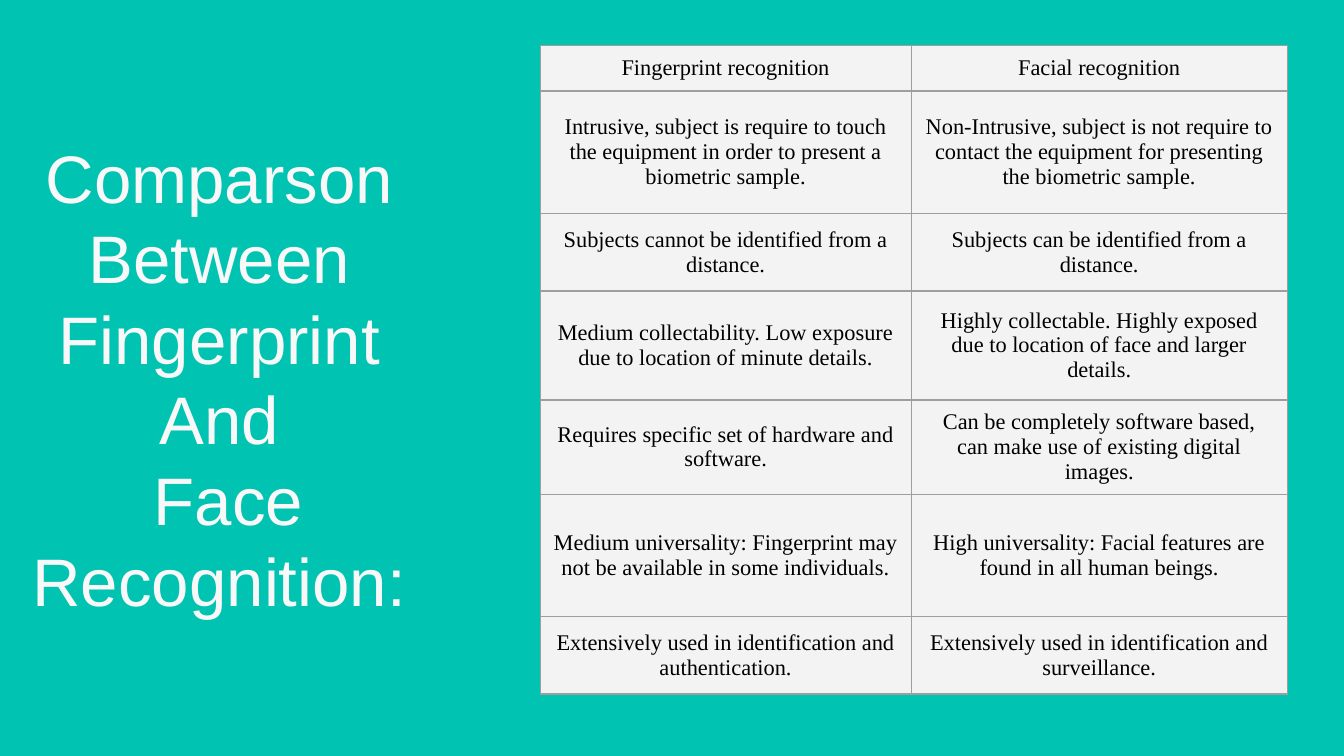
from pptx import Presentation
from pptx.dml.color import RGBColor as RGB
from pptx.enum.text import MSO_ANCHOR as Anchor, PP_ALIGN as Align
from pptx.oxml import parse_xml
from pptx.oxml.ns import nsdecls
from pptx.util import Cm, Pt

COLORS = {"back": "00C3B1", "title": "F8F8F8", "cell": "F3F3F3",
          "text": "000000", "line": "9E9E9E"}
TITLE = ["Comparson ", "Between ", "Fingerprint ", "And ", "Face Recognition: "]
ROWS = [
    ("Fingerprint recognition", "Facial recognition"),
    ("Intrusive, subject is require to touch the equipment in order to present a biometric sample.",
     "Non-Intrusive, subject is not require to contact the equipment for presenting the biometric sample."),
    ("Subjects cannot be identified from a distance.",
     "Subjects can be identified from a distance."),
    ("Medium collectability. Low exposure due to location of minute details.",
     "Highly collectable. Highly exposed due to location of face and larger details."),
    ("Requires specific set of hardware and software.",
     "Can be completely software based, can make use of existing digital images."),
    ("Medium universality: Fingerprint may not be available in some individuals.",
     "High universality: Facial features are found in all human beings."),
    ("Extensively used in identification and authentication.",
     "Extensively used in identification and surveillance."),
]
WIDTHS = [7.01, 7.11]
HEIGHTS = [0.86, 2.31, 1.47, 2.06, 1.78, 2.31, 1.47]


class Deck:
    def __init__(self):
        self.prs = Presentation()
        self.prs.slide_width, self.prs.slide_height = Cm(25.4), Cm(14.29)
        self.slide = self.prs.slides.add_slide(self.prs.slide_layouts[5])
        fill = self.slide.background.fill
        fill.solid()
        fill.fore_color.rgb = RGB.from_string(COLORS["back"])

    def style(self, para, face, size, color):
        para.alignment = Align.CENTER
        for run in para.runs:
            run.font.name = face
            run.font.size = Pt(size)
            run.font.color.rgb = RGB.from_string(COLORS[color])

    def title(self, lines, left, top, width, height):
        box = self.slide.shapes.title
        box.left, box.top = Cm(left), Cm(top)
        box.width, box.height = Cm(width), Cm(height)
        frame = box.text_frame
        frame.text = "\n".join(lines)
        frame.word_wrap = True
        frame.vertical_anchor = Anchor.MIDDLE
        for para in frame.paragraphs:
            para.line_spacing = Pt(43.2)
            para.space_before = Pt(0)
            self.style(para, "Arial", 36, "title")

    def border(self, cell):
        props = cell._tc.get_or_add_tcPr()
        for side in "LRTB":
            props.append(parse_xml(
                f'<a:ln{side} {nsdecls("a")} w="{Pt(0.75)}"><a:solidFill>'
                f'<a:srgbClr val="{COLORS["line"]}"/></a:solidFill></a:ln{side}>'))

    def table(self, rows, left, top, widths, heights):
        grid = self.slide.shapes.add_table(
            len(rows), len(widths), Cm(left), Cm(top),
            Cm(sum(widths)), Cm(sum(heights))).table
        grid.first_row = grid.horz_banding = False
        for col, width in zip(grid.columns, widths):
            col.width = Cm(width)
        for row, height, texts in zip(grid.rows, heights, rows):
            row.height = Cm(height)
            for cell, text in zip(row.cells, texts):
                self.cell(cell, text)

    def cell(self, cell, text):
        cell.text_frame.text = text
        cell.vertical_anchor = Anchor.MIDDLE
        self.style(cell.text_frame.paragraphs[0], "Times New Roman", 12, "text")
        self.border(cell)
        cell.fill.solid()
        cell.fill.fore_color.rgb = RGB.from_string(COLORS["cell"])


def main():
    deck = Deck()
    deck.table(ROWS, 10.21, 0.86, WIDTHS, HEIGHTS)
    deck.title(TITLE, 0, 2.39, 8.64, 9.5)
    deck.prs.save("out.pptx")


if __name__ == "__main__":
    main()
